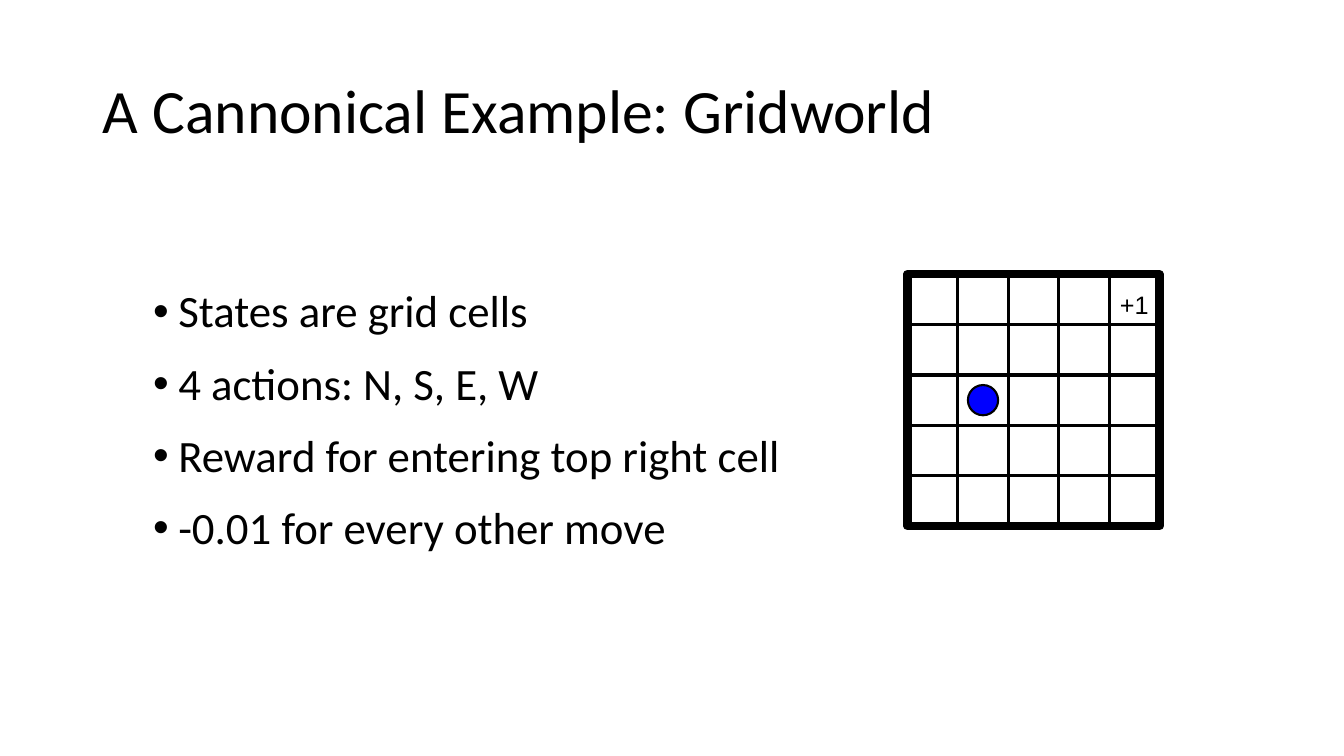
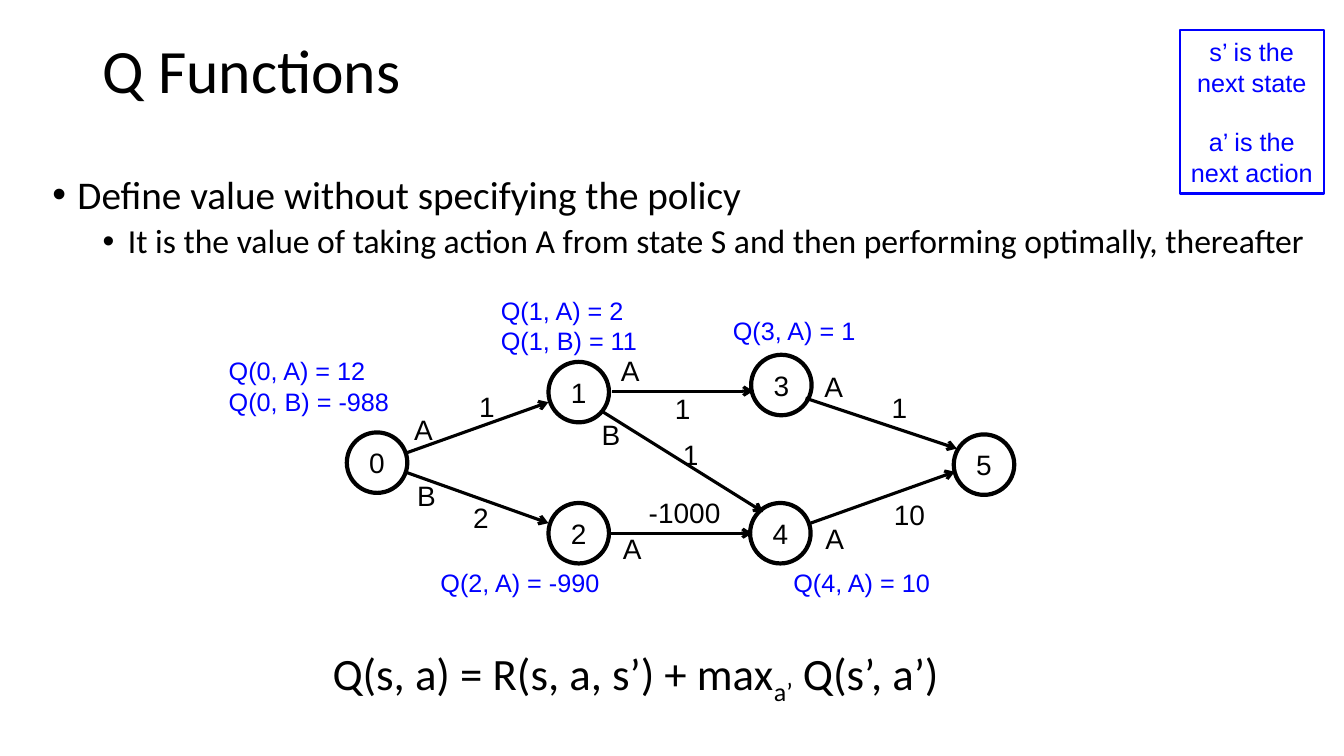
import pptx
import pptx.util
from lxml import etree
from pptx.dml.color import RGBColor
from pptx.enum.shapes import MSO_CONNECTOR, MSO_SHAPE
from pptx.enum.text import MSO_ANCHOR, MSO_AUTO_SIZE, PP_ALIGN
from pptx.oxml.ns import qn

Inches, Pt = pptx.util.Inches, pptx.util.Pt

BLACK = RGBColor(0x00, 0x00, 0x00)
BLUE = RGBColor(0x00, 0x00, 0xFF)
HEADING_FONT, LABEL_FONT = "Calibri", "Arial"
TITLE_ONLY = 5

# Gridworld
GRID_LEFT, GRID_TOP, CELL, CELLS = 9, 2.72, 0.5, 5
AGENT_COLUMN, AGENT_ROW, AGENT_SIZE = 1, 2, 0.3
RULES = [
    "States are grid cells",
    "4 actions: N, S, E, W",
    "Reward for entering top right cell",
    "-0.01 for every other move",
]

# Q functions: states by centre, moves by their ends and labels
STATE_SIZE = 0.6
STATES = {
    "0": (3.74, 4.59),
    "1": (5.74, 3.89),
    "2": (5.74, 5.29),
    "3": (7.75, 3.82),
    "4": (7.74, 5.29),
    "5": (9.76, 4.61),
}
# start, end, (action, centre), (reward, centre)
MOVES = [
    ((4.04, 4.49), (5.44, 3.99), ("A", (4.2, 4.25)), ("1", (4.83, 4.03))),
    ((4.04, 4.69), (5.44, 5.19), ("B", (4.23, 4.91)), ("2", (4.77, 5.13))),
    ((6.07, 3.88), (7.47, 3.88), ("A", (6.25, 3.67)), ("1", (6.77, 4.05))),
    ((5.97, 4.08), (7.57, 5.08), ("B", (6.06, 4.3)), ("1", (6.85, 4.5))),
    ((6.06, 5.29), (7.46, 5.29), ("A", (6.27, 5.43)), ("-1000", (6.79, 5.08))),
    ((7.99, 3.95), (9.49, 4.45), ("A", (8.27, 3.83)), ("1", (8.92, 4.04))),
    ((8.04, 5.19), (9.47, 4.68), ("A", (8.28, 5.34)), ("10", (9.02, 5.1))),
]
# left, top, width, lines
Q_VALUES = [
    (2.17, 3.48, 1.79, ["Q(0, A) = 12", "Q(0, B) = -988"]),
    (4.87, 2.88, 1.57, ["Q(1, A) = 2", "Q(1, B) = 11"]),
    (4.27, 5.58, 1.79, ["Q(2, A) = -990"]),
    (7.17, 3.08, 1.43, ["Q(3, A) = 1"]),
    (7.77, 5.58, 1.57, ["Q(4, A) = 10"]),
]
DEFINITION = "Define value without specifying the policy"
DETAIL = ("It is the value of taking action A from state S "
          "and then performing optimally, thereafter")
NOTE = ["s’ is the", "next state", "a’ is the", "next action"]
EQUATION = [("Q(s, a) = R(s, a, s’) + max", 0), ("a’", -25000), (" Q(s’, a’)", 0)]


def write(para, text, size=20, font=LABEL_FONT, color=BLACK, align=PP_ALIGN.LEFT,
          spacing=None, before=0, after=0, indent=0, bullet=False):
    """Fill a paragraph with text, or with (text, baseline) pairs."""
    properties = para._p.get_or_add_pPr()
    if indent:
        properties.set("marL", str(Inches(indent)))
        properties.set("indent", str(Inches(-0.25) if bullet else 0))
    if bullet:
        etree.SubElement(properties, qn("a:buFont")).set("typeface", LABEL_FONT)
        etree.SubElement(properties, qn("a:buChar")).set("char", "•")
    para.alignment = align
    para.space_before, para.space_after = Pt(before), Pt(after)
    if spacing:
        para.line_spacing = spacing
    for piece, baseline in [(text, 0)] if isinstance(text, str) else text:
        span = para.add_run()
        span.text = piece
        span.font.name, span.font.size = font, Pt(size)
        span.font.color.rgb = color
        if baseline:
            span._r.get_or_add_rPr().set("baseline", str(baseline))


def next_para(frame, index):
    return frame.add_paragraph() if index else frame.paragraphs[0]


def add_box(slide, left, top, width, height, wrap=False):
    box = slide.shapes.add_textbox(*map(Inches, (left, top, width, height)))
    box.text_frame.word_wrap = wrap
    return box.text_frame


def add_label(slide, text, center, **style):
    x, y = center
    frame = add_box(slide, x - 0.5, y - 0.21, 1, 0.43)
    frame.vertical_anchor = MSO_ANCHOR.MIDDLE
    write(frame.paragraphs[0], text, align=PP_ALIGN.CENTER, **style)


def add_outline(slide, kind, left, top, width, height, weight, color=BLACK, fill=None):
    shape = slide.shapes.add_shape(kind, *map(Inches, (left, top, width, height)))
    shape.shadow.inherit = False
    if fill is None:
        shape.fill.background()
    else:
        shape.fill.solid()
        shape.fill.fore_color.rgb = fill
    shape.line.color.rgb, shape.line.width = color, Pt(weight)
    return shape


def add_circle(slide, center, size, weight, fill=None):
    x, y = center
    return add_outline(slide, MSO_SHAPE.OVAL, x - size / 2, y - size / 2,
                       size, size, weight, fill=fill)


def add_line(slide, start, end, arrow=False):
    line = slide.shapes.add_connector(MSO_CONNECTOR.STRAIGHT, *map(Inches, start + end))
    line.line.color.rgb, line.line.width = BLACK, Pt(2.25)
    if arrow:
        etree.SubElement(line.line._get_or_add_ln(), qn("a:tailEnd")).set("type", "arrow")
    etree.SubElement(line._element.spPr, qn("a:effectLst"))


def add_slide(deck, title, top):
    slide = deck.slides.add_slide(deck.slide_layouts[TITLE_ONLY])
    holder = slide.shapes.title
    holder.left, holder.top, holder.width, holder.height = map(
        Inches, (0.92, top, 11.5, 1.45))
    frame = holder.text_frame
    frame.word_wrap, frame.auto_size = True, MSO_AUTO_SIZE.NONE
    frame.vertical_anchor = MSO_ANCHOR.MIDDLE
    write(frame.paragraphs[0], title, size=44, font=HEADING_FONT, spacing=0.9)
    return slide


def build_gridworld(deck):
    slide = add_slide(deck, "A Cannonical Example: Gridworld", 0.4)
    frame = add_box(slide, 0.92, 2.82, 9, 3.6, wrap=True)
    for index, rule in enumerate(RULES):
        write(next_para(frame, index), rule, size=32, font=HEADING_FONT, spacing=0.9,
              before=5 if index else 0, after=12, indent=0.75, bullet=True)

    side = CELL * CELLS
    right, bottom = GRID_LEFT + side, GRID_TOP + side
    add_outline(slide, MSO_SHAPE.RECTANGLE, GRID_LEFT, GRID_TOP, side, side, 6)
    for step in range(1, CELLS):
        x, y = GRID_LEFT + step * CELL, GRID_TOP + step * CELL
        add_line(slide, (x, GRID_TOP), (x, bottom))
        add_line(slide, (GRID_LEFT, y), (right, y))
    agent = (GRID_LEFT + (AGENT_COLUMN + 0.5) * CELL, GRID_TOP + (AGENT_ROW + 0.5) * CELL)
    add_circle(slide, agent, AGENT_SIZE, 1.5, fill=BLUE)
    add_label(slide, "+1", (right - CELL / 2, GRID_TOP + 0.6 * CELL), size=18)


def build_q_functions(deck):
    slide = add_slide(deck, "Q Functions", 0)
    frame = add_box(slide, 0.42, 1.69, 13.48, 1.71, wrap=True)
    write(frame.paragraphs[0], DEFINITION, size=28, font=HEADING_FONT,
          spacing=0.9, indent=0.25, bullet=True)
    write(frame.add_paragraph(), DETAIL, size=24, font=HEADING_FONT,
          spacing=0.9, before=5, indent=0.75, bullet=True)

    for name, center in STATES.items():
        frame = add_circle(slide, center, STATE_SIZE, 3).text_frame
        frame.margin_left = frame.margin_right = 0
        frame.margin_top = frame.margin_bottom = 0
        frame.word_wrap, frame.vertical_anchor = False, MSO_ANCHOR.MIDDLE
        write(frame.paragraphs[0], name, align=PP_ALIGN.CENTER)
    for start, end, *labels in MOVES:
        add_line(slide, start, end, arrow=True)
        for text, center in labels:
            add_label(slide, text, center)
    for left, top, width, lines in Q_VALUES:
        frame = add_box(slide, left, top, width, 0.1 + 0.3 * len(lines))
        for index, line in enumerate(lines):
            write(next_para(frame, index), line, size=18, color=BLUE)

    frame = add_outline(slide, MSO_SHAPE.RECTANGLE, 11.7, 0.3, 1.43, 1.62,
                        1.5, color=BLUE).text_frame
    frame.word_wrap, frame.vertical_anchor = False, MSO_ANCHOR.MIDDLE
    for index, line in enumerate(NOTE):
        write(next_para(frame, index), line, size=18, color=BLUE,
              align=PP_ALIGN.CENTER, before=21 if index == 2 else 0)

    frame = add_box(slide, 2.7, 6.36, 7.93, 0.64, wrap=True)
    write(frame.paragraphs[0], EQUATION, size=32, font=HEADING_FONT, indent=0.5)


def main():
    deck = pptx.Presentation()
    deck.slide_width, deck.slide_height = Inches(13.33), Inches(7.5)
    build_gridworld(deck)
    build_q_functions(deck)
    deck.save("out.pptx")


if __name__ == "__main__":
    main()
